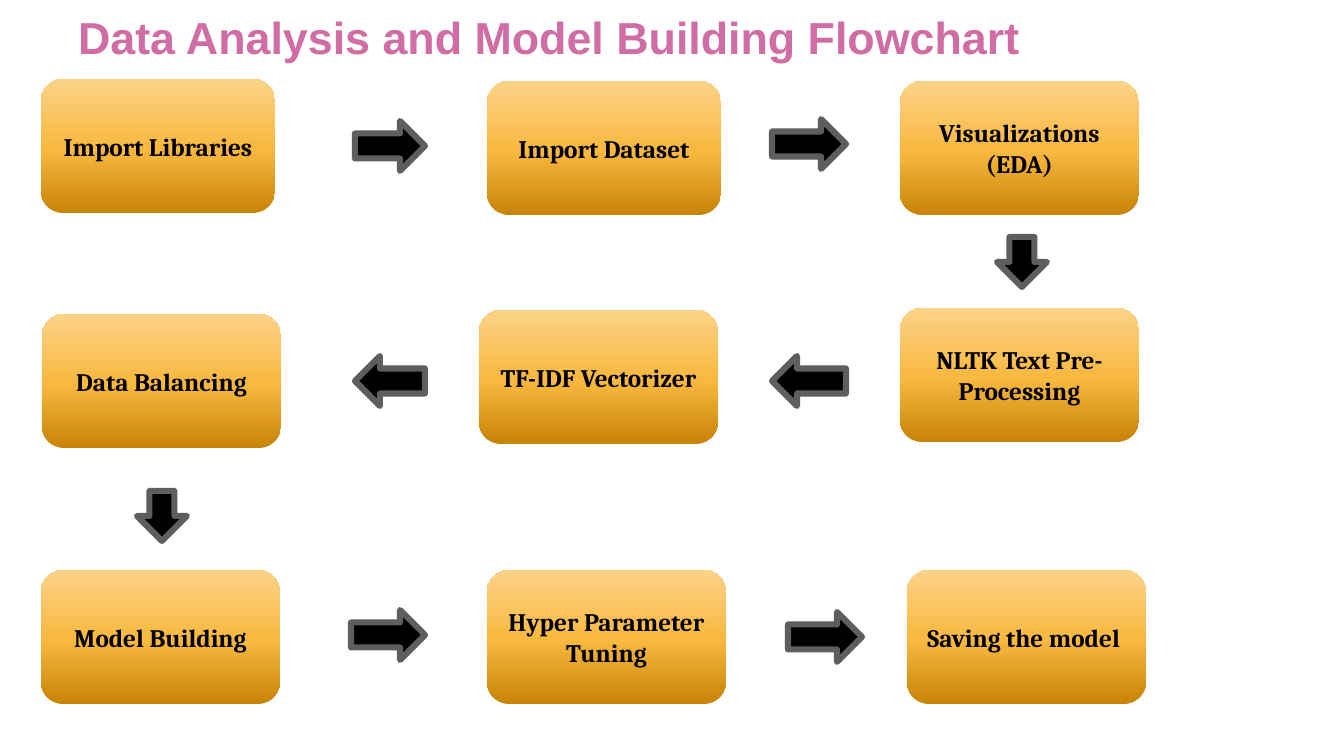
from copy import deepcopy

from pptx import Presentation
from pptx.dml.color import RGBColor
from pptx.enum.shapes import MSO_SHAPE as Shape
from pptx.enum.text import MSO_ANCHOR as Anchor, PP_ALIGN as Align
from pptx.oxml.ns import qn
from pptx.util import Pt

PX = 914400 / 100.8
COLORS = {
    "title": "CF6DA4", "text": "000000", "arrow": "000000", "arrow_edge": "5E5E5E",
    "amber_dark": "C78406", "amber": "F9B83F", "amber_light": "FBD388",
}
AMBER_STOPS = [(0, "amber_dark"), (0.48, "amber"), (1, "amber_light")]

TITLE = "Data Analysis and Model Building Flowchart"
STEP_HEIGHT = 134
STEPS = [
    (["Import Libraries"], 41, 79, 234),
    (["Import Dataset"], 487, 81, 234),
    (["Visualizations", "(EDA)"], 900, 81, 239),
    (["NLTK Text Pre-Processing"], 900, 308, 239),
    (["TF-IDF Vectorizer"], 479, 310, 239),
    (["Data Balancing"], 42, 314, 239),
    (["Model Building"], 41, 570, 239),
    (["Hyper Parameter Tuning"], 487, 570, 239),
    (["Saving the model "], 907, 570, 239),
]
ARROW_THICKNESS = 50
ARROWS = [
    (Shape.RIGHT_ARROW, 355, 121, 70),
    (Shape.RIGHT_ARROW, 772, 119, 74),
    (Shape.DOWN_ARROW, 997, 237, 50),
    (Shape.LEFT_ARROW, 772, 356, 74),
    (Shape.LEFT_ARROW, 355, 356, 70),
    (Shape.DOWN_ARROW, 137, 491, 50),
    (Shape.RIGHT_ARROW, 351, 610, 74),
    (Shape.RIGHT_ARROW, 788, 612, 74),
]


def emu(*lengths):
    return [round(length * PX) for length in lengths]


def color(name):
    return RGBColor.from_string(COLORS[name])


def write(frame, lines, size, font, color_name, anchor):
    frame.word_wrap = True
    frame.vertical_anchor = anchor
    for index, line in enumerate(lines):
        paragraph = frame.add_paragraph() if index else frame.paragraphs[0]
        paragraph.alignment = Align.CENTER
        run = paragraph.add_run()
        run.text = line
        run.font.size = Pt(size)
        run.font.name = font
        run.font.bold = True
        run.font.color.rgb = color(color_name)


def fill_amber(fill):
    fill.gradient()
    fill.gradient_angle = 90
    first = fill.gradient_stops[0]._gs
    first.addnext(deepcopy(first))
    for stop, (position, name) in zip(fill.gradient_stops, AMBER_STOPS):
        stop.position = position
        stop.color.rgb = color(name)


def add_step(slide, lines, left, top, width):
    step = slide.shapes.add_shape(
        Shape.FLOWCHART_ALTERNATE_PROCESS, *emu(left, top, width, STEP_HEIGHT))
    step.shadow.inherit = False
    step.line.fill.background()
    fill_amber(step.fill)
    write(step.text_frame, lines, 18, "Cambria", "text", Anchor.MIDDLE)


def add_arrow(slide, direction, left, top, width):
    arrow = slide.shapes.add_shape(direction, *emu(left, top, width, ARROW_THICKNESS))
    arrow.shadow.inherit = False
    arrow.fill.solid()
    arrow.fill.fore_color.rgb = color("arrow")
    arrow.line.color.rgb = color("arrow_edge")
    arrow.line.width = Pt(4.33)
    edge = arrow.line._get_or_add_ln()
    edge.append(edge.makeelement(qn("a:round"), {}))


def main():
    deck = Presentation()
    deck.slide_width, deck.slide_height = emu(1344, 756)
    slide = deck.slides.add_slide(deck.slide_layouts[5])
    title = slide.shapes.title
    title.left, title.top, title.width, title.height = emu(0, 5, 1099, 95)
    write(title.text_frame, [TITLE], 32, "Arial", "title", Anchor.TOP)
    for step in STEPS:
        add_step(slide, *step)
    for arrow in ARROWS:
        add_arrow(slide, *arrow)
    deck.save("out.pptx")


if __name__ == "__main__":
    main()
